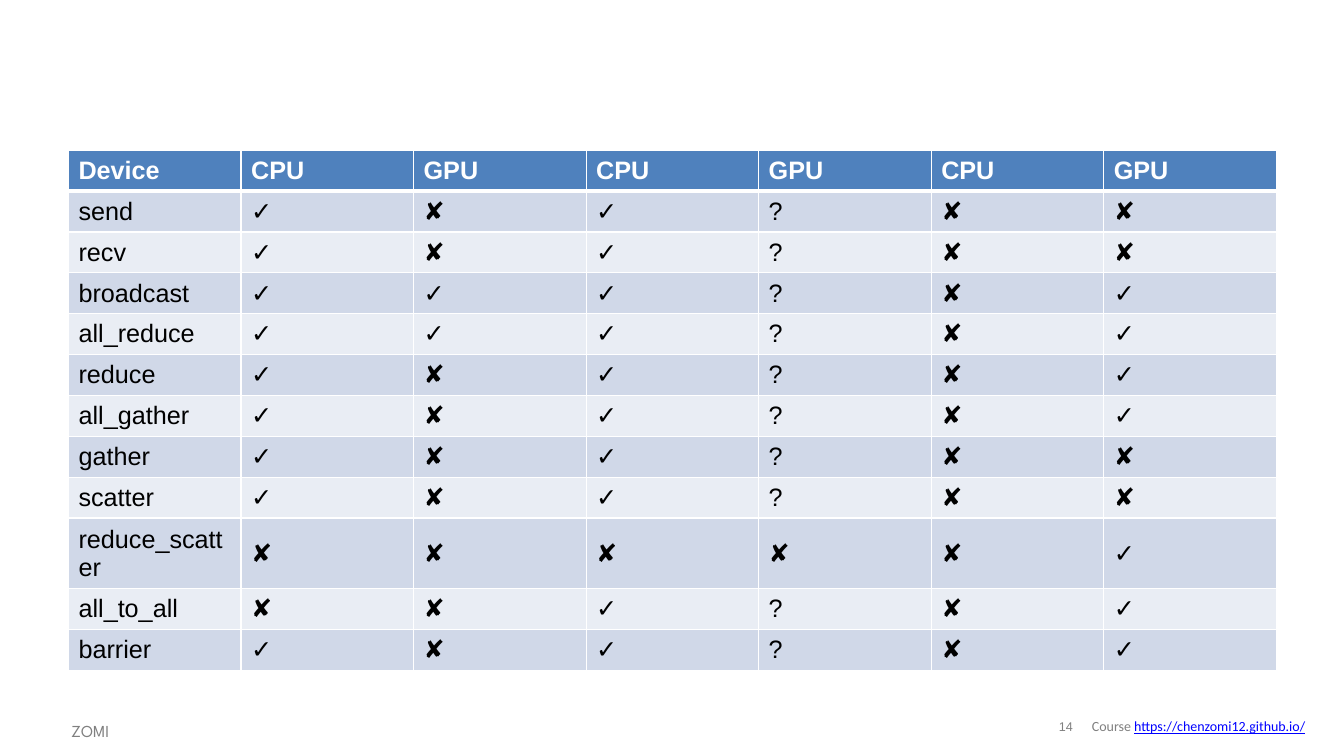
from lxml.etree import SubElement
from pptx import Presentation
from pptx.dml.color import RGBColor
from pptx.enum.text import MSO_ANCHOR, PP_ALIGN
from pptx.oxml.ns import qn
from pptx.util import Inches, Pt

WHITE = RGBColor(0xFF, 0xFF, 0xFF)
BLACK = RGBColor(0x00, 0x00, 0x00)
GRAY = RGBColor(0x80, 0x80, 0x80)
LINK_BLUE = RGBColor(0x00, 0x00, 0xFF)
HEADER_BLUE = RGBColor(0x4F, 0x81, 0xBD)
BANDS = [RGBColor(0xD0, 0xD8, 0xE8), RGBColor(0xE9, 0xED, 0xF4)]

HEADINGS = ["Device"] + ["CPU", "GPU"] * 3

# One mark per device column
SUPPORT = {
    "send": "✓✘✓?✘✘",
    "recv": "✓✘✓?✘✘",
    "broadcast": "✓✓✓?✘✓",
    "all_reduce": "✓✓✓?✘✓",
    "reduce": "✓✘✓?✘✓",
    "all_gather": "✓✘✓?✘✓",
    "gather": "✓✘✓?✘✘",
    "scatter": "✓✘✓?✘✘",
    "reduce_scatter": "✘✘✘✘✘✓",
    "all_to_all": "✘✘✓?✘✓",
    "barrier": "✓✘✓?✘✓",
}


def set_format(target, values):
    for name, value in values.items():
        setattr(target, name, value)


def add_run(paragraph, text, size, family, color, **font_format):
    run = paragraph.add_run()
    run.text = text
    set_format(run.font, {"size": Pt(size), "name": family, **font_format})
    run.font.color.rgb = color


def add_borders(cell, widths):
    """Draw white left, right, top and bottom borders of the given point widths."""
    properties = cell._tc.get_or_add_tcPr()
    for side, width in zip("LRTB", widths):
        line = SubElement(properties, qn(f"a:ln{side}"), w=str(Pt(width)))
        fill = SubElement(line, qn("a:solidFill"))
        SubElement(fill, qn("a:srgbClr"), val=str(WHITE))


def fill_cell(cell, text, fill_color, font_color, bold, borders):
    add_borders(cell, borders)
    cell.fill.solid()
    cell.fill.fore_color.rgb = fill_color
    cell.vertical_anchor = MSO_ANCHOR.MIDDLE
    add_run(cell.text_frame.paragraphs[0], text, 18, "Arial", font_color, bold=bold)


def add_support_table(slide):
    rows = [HEADINGS] + [[name, *marks] for name, marks in SUPPORT.items()]
    table = slide.shapes.add_table(
        len(rows), len(HEADINGS),
        Inches(0.68), Inches(1.49), Inches(11.99), Inches(4.87)).table
    for r, texts in enumerate(rows):
        header = r == 0
        fill_color = HEADER_BLUE if header else BANDS[(r - 1) % 2]
        font_color = WHITE if header else BLACK
        # The rule under the header is shared with the first body row
        borders = (1, 1, 3 if r == 1 else 1, 3 if header else 1)
        for c, text in enumerate(texts):
            fill_cell(table.cell(r, c), text, fill_color, font_color, header, borders)


def add_footer(slide, text, box, size, family, frame_format, paragraph_format):
    footer = slide.shapes.add_textbox(*map(Inches, box))
    set_format(footer.text_frame, {"word_wrap": True, **frame_format})
    paragraph = footer.text_frame.paragraphs[0]
    set_format(paragraph, paragraph_format)
    add_run(paragraph, text, size, family, GRAY)
    return paragraph


def main():
    deck = Presentation()
    set_format(deck, {"slide_width": Inches(13.34), "slide_height": Inches(7.5)})
    slide = deck.slides.add_slide(deck.slide_layouts[6])

    # Footer: slide number, author, course address
    middle = {"vertical_anchor": MSO_ANCHOR.MIDDLE}
    no_margins = dict.fromkeys(
        ["margin_left", "margin_top", "margin_right", "margin_bottom"], 0)
    add_footer(slide, "14", (10.4, 7.06, 0.36, 0.31), 9, "Arial",
               {**middle, **no_margins},
               {"alignment": PP_ALIGN.CENTER, "line_spacing": 0.85})
    add_footer(slide, "ZOMI", (0.61, 7.06, 0.8, 0.32), 12, "League Spartan",
               {}, {"line_spacing": 1.2})
    course = add_footer(slide, "Course ", (10.74, 7.06, 2.46, 0.29), 10, "Calibri",
                        middle, {})
    add_run(course, "https://chenzomi12.github.io/", 10, "Calibri", LINK_BLUE,
            underline=True)

    # Collective operations supported on each device
    add_support_table(slide)

    deck.save("out.pptx")


if __name__ == "__main__":
    main()
